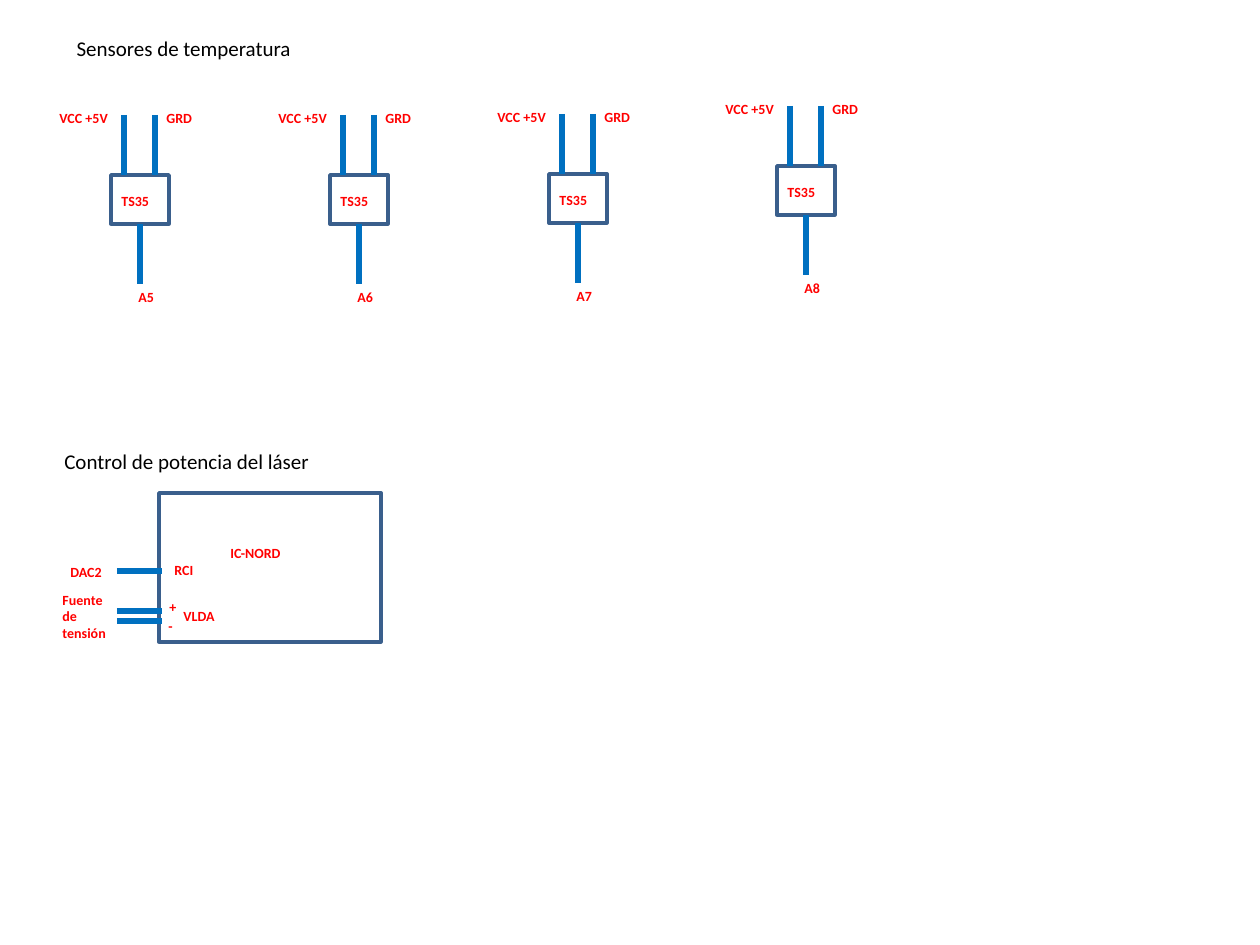
"""Build a wiring slide: four temperature sensors and a laser power control."""
from dataclasses import dataclass

from lxml import etree
from pptx import Presentation
from pptx.dml.color import RGBColor
from pptx.enum.shapes import MSO_CONNECTOR, MSO_SHAPE
from pptx.enum.text import MSO_ANCHOR, MSO_AUTO_SIZE, PP_ALIGN
from pptx.oxml.ns import qn
from pptx.shapes.autoshape import Shape
from pptx.shapes.connector import Connector
from pptx.slide import Slide
from pptx.util import Emu, Pt

STRAIGHT = MSO_CONNECTOR.STRAIGHT
RECTANGLE = MSO_SHAPE.RECTANGLE
TOP = MSO_ANCHOR.TOP
LEFT = PP_ALIGN.LEFT
NO_FIT = MSO_AUTO_SIZE.NONE

BLACK = RGBColor(0x00, 0x00, 0x00)
RED = RGBColor(0xFF, 0x00, 0x00)
WIRE = RGBColor(0x00, 0x70, 0xC0)
OUTLINE = RGBColor(0x3A, 0x5F, 0x8C)
FONT = "Calibri"

PX_PER_INCH = 126
SLIDE_W, SLIDE_H = 1260, 945
CHIP_W, CHIP_H = 58, 49
LEAD = 60
LABEL_W, LABEL_H = 59, 30
HEADING_W, HEADING_H = 318, 38
BOTTOM_SIDE = 2


@dataclass(frozen=True)
class Sensor:
    x: int
    y: int
    pin: str


@dataclass(frozen=True)
class Label:
    text: str
    x: int
    y: int
    w: int = LABEL_W
    h: int = LABEL_H


SENSORS = [
    Sensor(111, 175, "A5"),
    Sensor(330, 175, "A6"),
    Sensor(549, 174, "A7"),
    Sensor(777, 166, "A8"),
]
SENSOR_LABELS = [
    Label("VCC +5V", -64, -72, 94),
    Label("GRD", 43, -72),
    Label("TS35", -2, 11),
]
SUPPLY_LEADS = (13, 44)

LASER_LABELS = [
    Label("IC-NORD", 218, 538, 98),
    Label("DAC2", 58, 557),
    Label("RCI", 162, 555),
    Label("VLDA", 171, 601),
    Label("-", 156, 611, 37),
    Label("+", 157, 592, 37),
    Label("Fuente de tensión", 50, 585, 82, 63),
]
LASER_WIRES = (571, 611, 621)


def px(n: int) -> Emu:
    """Turn whole pixels into EMU."""
    return Emu(round(n * 914400 / PX_PER_INCH))


def write(sp: Shape, text: str, *, size: int = 8, color: RGBColor = RED,
          bold: bool = True) -> None:
    """Put formatted text into a shape."""
    tf = sp.text_frame
    tf.word_wrap = True
    tf.auto_size = NO_FIT
    tf.vertical_anchor = TOP
    p = tf.paragraphs[0]
    p.alignment = LEFT
    r = p.add_run()
    r.text = text
    r.font.name = FONT
    r.font.size = Pt(size)
    r.font.bold = bold
    r.font.color.rgb = color


def add_label(s: Slide, label: Label, dx: int = 0, dy: int = 0) -> None:
    """Add a red label, shifted by an offset."""
    sp = s.shapes.add_textbox(px(label.x + dx), px(label.y + dy), px(label.w), px(label.h))
    write(sp, label.text)


def add_box(s: Slide, x: int, y: int, w: int, h: int) -> Shape:
    """Add an unfilled component outline."""
    sp = s.shapes.add_shape(RECTANGLE, px(x), px(y), px(w), px(h))
    sp.shadow.inherit = False
    sp.fill.background()
    sp.line.color.rgb = OUTLINE
    sp.line.width = Pt(2)
    return sp


def add_wire(s: Slide, x1: int, y1: int, x2: int, y2: int) -> Connector:
    """Add a thick blue wire."""
    wire = s.shapes.add_connector(STRAIGHT, px(x1), px(y1), px(x2), px(y2))
    wire.line.color.rgb = WIRE
    wire.line.width = Pt(3)
    etree.SubElement(wire.element.spPr, qn("a:effectLst"))
    return wire


def add_sensor(s: Slide, sensor: Sensor) -> None:
    """Draw one sensor with its leads and labels."""
    x, y = sensor.x, sensor.y
    chip = add_box(s, x, y, CHIP_W, CHIP_H)
    for lead in SUPPLY_LEADS:
        add_wire(s, x + lead, y - LEAD, x + lead, y)
    mid, bottom = x + CHIP_W // 2, y + CHIP_H
    output = add_wire(s, mid, bottom, mid, bottom + LEAD)
    output.begin_connect(chip, BOTTOM_SIDE)
    for label in [*SENSOR_LABELS, Label(sensor.pin, 15, 107)]:
        add_label(s, label, x, y)


def add_laser_control(s: Slide) -> None:
    """Draw the laser driver with its heading, wires and labels."""
    heading = s.shapes.add_textbox(px(52), px(442), px(HEADING_W), px(HEADING_H))
    write(heading, "Control de potencia del láser", size=12, color=BLACK, bold=False)
    add_box(s, 159, 493, 222, 149)
    for y in LASER_WIRES:
        add_wire(s, 117, y, 162, y)
    for label in LASER_LABELS:
        add_label(s, label)


def main() -> None:
    """Build and save the slide."""
    prs = Presentation()
    prs.slide_width, prs.slide_height = px(SLIDE_W), px(SLIDE_H)
    s = prs.slides.add_slide(prs.slide_layouts[5])
    title = s.shapes.title
    title.left, title.top = px(64), px(29)
    title.width, title.height = px(HEADING_W), px(HEADING_H)
    write(title, "Sensores de temperatura", size=12, color=BLACK, bold=False)
    for sensor in SENSORS:
        add_sensor(s, sensor)
    add_laser_control(s)
    prs.save("out.pptx")


if __name__ == "__main__":
    main()
